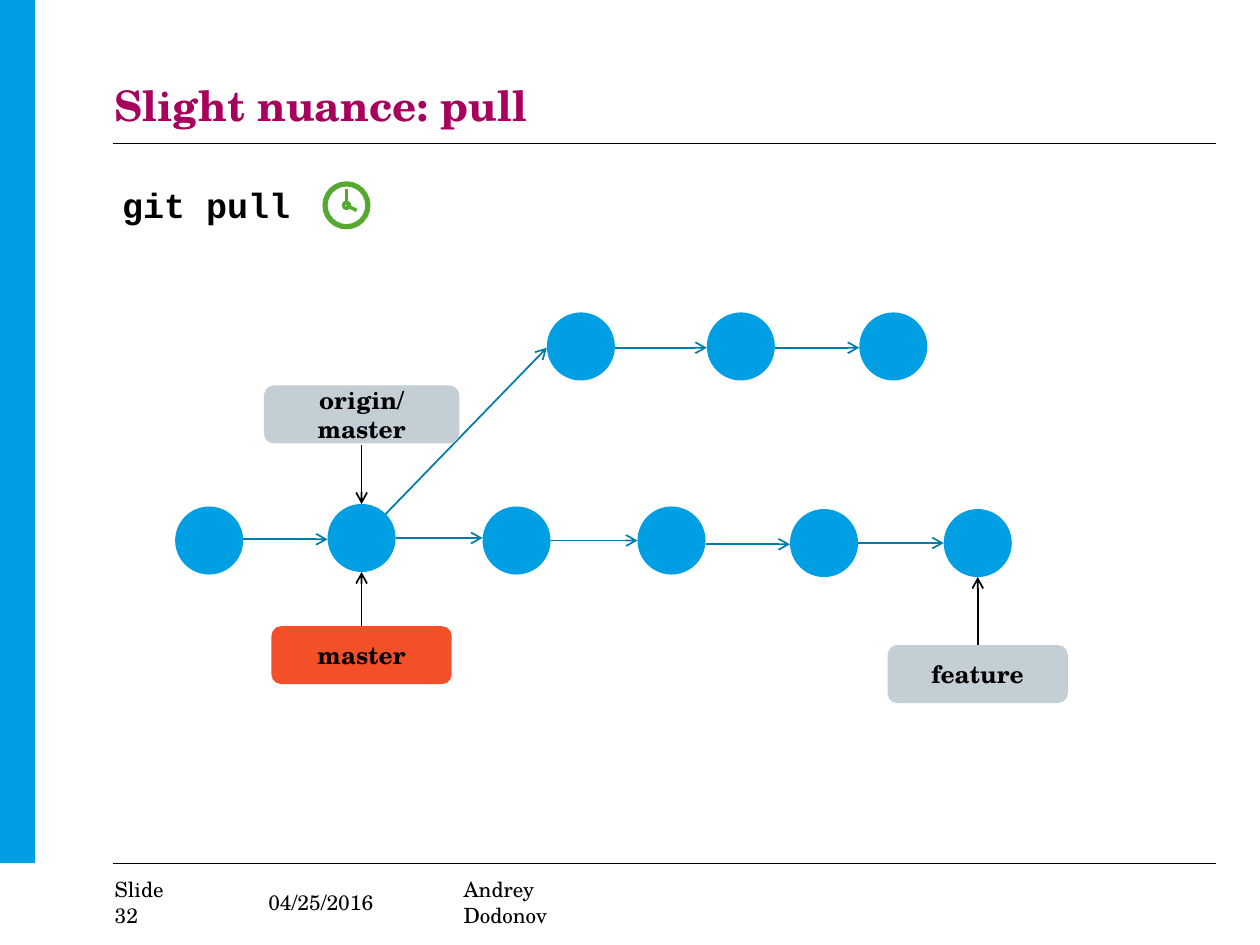
"""Builds a slide showing the commit graph around git pull."""
from lxml import etree
from pptx import Presentation
from pptx import util as u
from pptx.dml.color import RGBColor
from pptx.enum import shapes, text
from pptx.oxml.ns import qn

HUES = {"blue": "009EE3", "edge": "007CAA", "plum": "A8005C", "gray": "C3CED5",
        "red": "F34F29", "green": "55A930", "black": "000000"}
SERIF = "TeX Gyre Schola"
KIND = shapes.MSO_SHAPE


def add_form(kind, left, top, wide, high, fill=None, edge=None, width=1):
    form = slide.shapes.add_shape(kind, *map(u.Inches, (left, top, wide, high)))
    form.shadow.inherit = False
    if fill:
        form.fill.solid()
        form.fill.fore_color.rgb = RGBColor.from_string(HUES[fill])
    else:
        form.fill.background()
    if edge:
        form.line.color.rgb = RGBColor.from_string(HUES[edge])
        form.line.width = u.Pt(width)
    else:
        form.line.fill.background()
    return form


def add_line(start, end, hue, width=1, arrow=True):
    line = slide.shapes.add_connector(
        shapes.MSO_CONNECTOR.STRAIGHT, *map(u.Inches, (*start, *end)))
    line.line.color.rgb = RGBColor.from_string(HUES[hue])
    line.line.width = u.Pt(width)
    if arrow:
        etree.SubElement(line.line._get_or_add_ln(), qn("a:tailEnd"), type="arrow")
    etree.SubElement(line._element.spPr, qn("a:effectLst"))


deck = Presentation()
deck.slide_width, deck.slide_height = u.Inches(10), u.Inches(7.5)
slide = deck.slides.add_slide(deck.slide_layouts[5])

add_form(KIND.RECTANGLE, 0, 0, 0.28, 6.85, "blue")
for y in (1.14, 6.85):
    add_line((0.9, y), (9.65, y), "black", 0.5, arrow=False)

title = slide.shapes.title
title.left, title.top = u.Inches(0.91), u.Inches(0.68)
title.width, title.height = u.Inches(8.74), u.Inches(0.39)
frame = title.text_frame
frame.text = "Slight nuance: pull"
frame.auto_size = text.MSO_AUTO_SIZE.NONE
frame.vertical_anchor = text.MSO_ANCHOR.TOP
frame.word_wrap = False
frame.margin_left = frame.margin_right = frame.margin_top = frame.margin_bottom = 0
para = frame.paragraphs[0]
para.alignment = text.PP_ALIGN.LEFT
para.line_spacing = 0.9
para.font.name, para.font.size, para.font.bold = SERIF, u.Pt(24), True
para.font.color.rgb = RGBColor.from_string(HUES["plum"])

for words, left, top, wide, high, face, size, bold, pad in (
        ("git pull", 0.87, 1.4, 1.55, 0.44, "Courier New", 20, True, (0.1, 0.05)),
        ("Slide 32", 0.91, 7.06, 0.62, 0.2, SERIF, 12, False, (0, 0)),
        ("04/25/2016", 2.13, 7.06, 0.96, 0.2, SERIF, 12, False, (0, 0)),
        ("Andrey Dodonov", 3.68, 7.06, 1.26, 0.2, SERIF, 12, False, (0, 0))):
    box = slide.shapes.add_textbox(*map(u.Inches, (left, top, wide, high)))
    frame = box.text_frame
    frame.text = words
    frame.word_wrap = False
    frame.vertical_anchor = text.MSO_ANCHOR.MIDDLE
    frame.margin_left = frame.margin_right = u.Inches(pad[0])
    frame.margin_top = frame.margin_bottom = u.Inches(pad[1])
    font = frame.paragraphs[0].font
    font.name, font.size, font.bold = face, u.Pt(size), bold
    font.color.rgb = RGBColor.from_string(HUES["black"])

SIZE = 0.54
main = [(1.39, 4.02), (2.6, 4), (3.83, 4.02), (5.06, 4.02), (6.27, 4.04), (7.49, 4.04)]
remote = [(4.34, 2.48), (5.61, 2.48), (6.82, 2.48)]
for left, top in main + remote:
    add_form(KIND.OVAL, left, top, SIZE, SIZE, "blue")
for row, levels in ((main, (4.28, 4.27, 4.29, 4.32, 4.31)), (remote, (2.76, 2.76))):
    for past, new, y in zip(row, row[1:], levels):
        add_line((past[0] + SIZE, y), (new[0], y), "edge")
add_line((3.06, 4.08), (4.34, 2.76), "edge")

for name, mid, top, wide, fill, start, end in (
        ("origin/master", 2.87, 3.06, 1.55, "gray", 3.53, 4),
        ("master", 2.87, 4.97, 1.43, "red", 4.97, 4.54),
        ("feature", 7.76, 5.12, 1.43, "gray", 5.12, 4.58)):
    add_line((mid, start), (mid, end), "black")
    label = add_form(KIND.ROUNDED_RECTANGLE, mid - wide / 2, top, wide, 0.46, fill)
    label.text_frame.text = name
    label.text_frame.word_wrap = True
    para = label.text_frame.paragraphs[0]
    para.alignment = text.PP_ALIGN.CENTER
    para.font.name, para.font.size, para.font.bold = SERIF, u.Pt(14), True
    para.font.color.rgb = RGBColor.from_string(HUES["black"])

hub = (2.75, 1.63)
for size, width in ((0.34, 3), (0.05, 1.75)):
    add_form(KIND.OVAL, hub[0] - size / 2, hub[1] - size / 2, size, size,
             edge="green", width=width)
add_line(hub, (2.75, 1.5), "green", 1.25, arrow=False)
add_line(hub, (2.83, 1.67), "green", 2, arrow=False)

deck.save("out.pptx")
